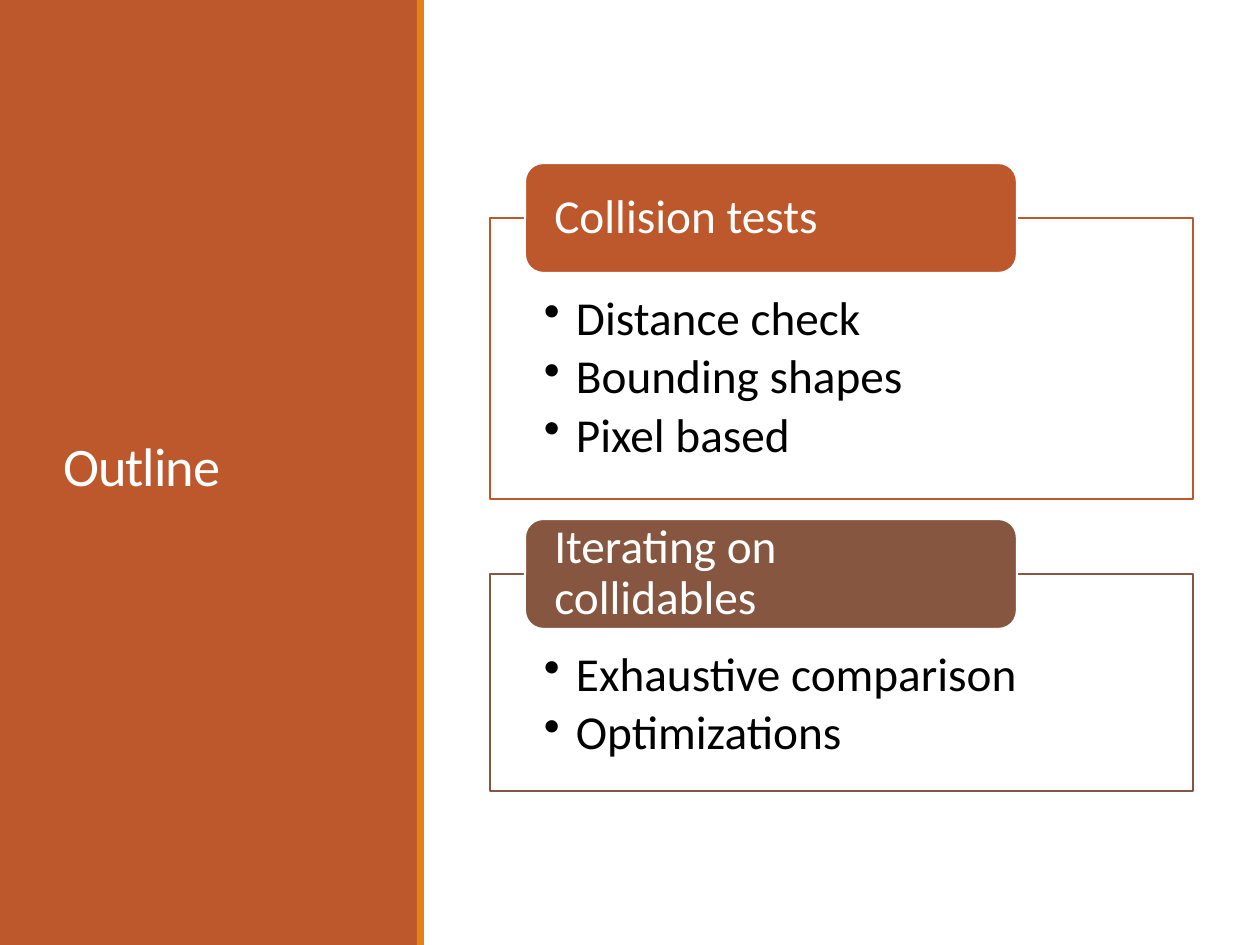
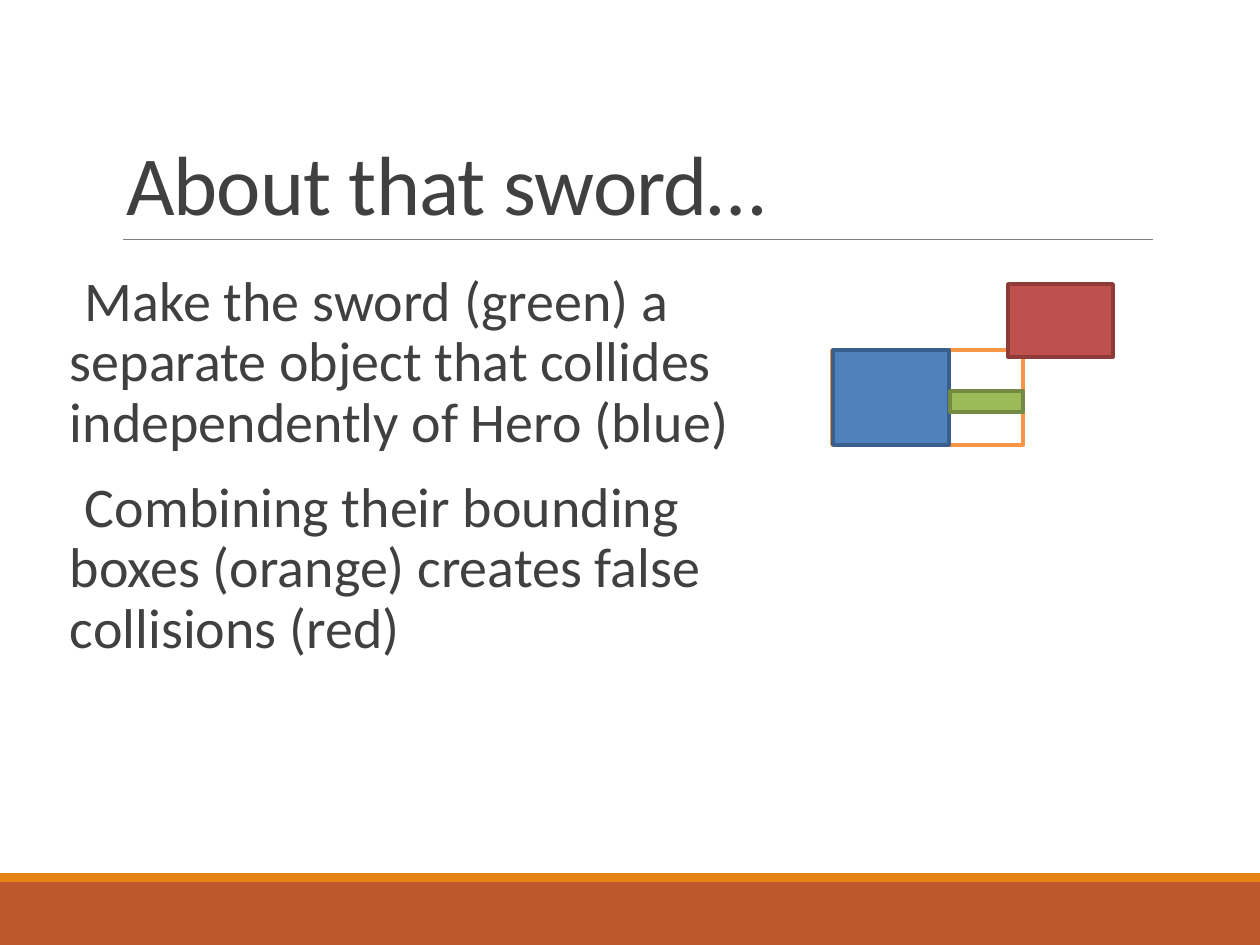
from lxml.etree import SubElement
from pptx import Presentation
from pptx.dml.color import RGBColor
from pptx.enum.shapes import MSO_CONNECTOR as CONNECTOR, MSO_SHAPE as SHAPE
from pptx.enum.text import MSO_ANCHOR as ANCHOR, PP_ALIGN as ALIGN
from pptx.oxml.ns import qn
from pptx.util import Pt

PX = 914400 / 126
WIDTH, HEIGHT = 1260, 945
FONT = "Calibri"
RUST = RGBColor(0xBD, 0x58, 0x2C)
AMBER = RGBColor(0xE4, 0x83, 0x12)
BROWN = RGBColor(0x86, 0x56, 0x40)
WHITE = RGBColor(0xFF, 0xFF, 0xFF)
BLACK = RGBColor(0, 0, 0)
DARK = RGBColor(0x40, 0x40, 0x40)
GRAY = RGBColor(0x80, 0x80, 0x80)
ORANGE, ORANGE_LINE = WHITE, RGBColor(0xF7, 0x96, 0x46)
RED, RED_LINE = RGBColor(0xC0, 0x50, 0x4D), RGBColor(0x8E, 0x3B, 0x39)
BLUE, BLUE_LINE = RGBColor(0x4F, 0x81, 0xBD), RGBColor(0x3A, 0x5F, 0x8C)
GREEN, GREEN_LINE = RGBColor(0x9B, 0xBB, 0x59), RGBColor(0x73, 0x8A, 0x42)


def px(*lengths):
    """Turn pixel lengths into a list of EMU."""
    return [round(length * PX) for length in lengths]


def add_box(slide, box, fill, line=None, weight=1.25, kind=SHAPE.RECTANGLE):
    """Add a flat shape with an optional outline."""
    shape = slide.shapes.add_shape(kind, *px(*box))
    shape.shadow.inherit = False
    shape.fill.solid()
    shape.fill.fore_color.rgb = fill
    if line is None:
        shape.line.fill.background()
    else:
        shape.line.color.rgb = line
        shape.line.width = Pt(weight)
    return shape


def write(shape, lines, size, color, insets=(13, 6, 13, 6), anchor=ANCHOR.TOP, spacing=0.9):
    """Fill a shape with left-aligned paragraphs and return them."""
    frame = shape.text_frame
    frame.word_wrap = True
    frame.vertical_anchor = anchor
    (frame.margin_left, frame.margin_top,
     frame.margin_right, frame.margin_bottom) = px(*insets)
    frame.text = "\n".join(lines)
    for paragraph in frame.paragraphs:
        paragraph.alignment = ALIGN.LEFT
        paragraph.line_spacing = spacing
        paragraph.font.name = FONT
        paragraph.font.size = Pt(size)
        paragraph.font.color.rgb = color
    return frame.paragraphs


def add_bullet(paragraph, character, indent, before, after):
    """Give a paragraph a hanging bullet and its spacing."""
    paragraph.space_before, paragraph.space_after = Pt(before), Pt(after)
    properties = paragraph._p.get_or_add_pPr()
    hang = px(indent)[0]
    properties.set("marL", str(hang))
    properties.set("indent", str(-hang))
    bullet = SubElement(properties, qn("a:buChar"))
    bullet.set("char", character)
    default_font = properties.find(qn("a:defRPr"))
    if default_font is not None:
        default_font.addprevious(bullet)


def add_title(slide, box, text, size, color, anchor):
    """Add a slide title with slightly tightened letters."""
    title = slide.shapes.add_textbox(*px(*box))
    paragraph, = write(title, [text], size, color, anchor=anchor, spacing=0.85)
    paragraph.runs[0]._r.get_or_add_rPr().set("spc", "-50")


def add_sidebar(slide, box, title):
    """Draw the coloured side panel with its title and accent edge."""
    left, top, width, height = box
    add_box(slide, box, RUST)
    add_title(slide, (left + 50, top + 72, 319, 795), title, 31, WHITE, ANCHOR.MIDDLE)
    add_box(slide, (left + width - 1, top, 7, height), AMBER)


def add_topic(slide, box, color, heading, items):
    """Draw an outlined list with a heading tab over its top edge."""
    left, top, width, height = box
    panel = add_box(slide, box, WHITE, color)
    for paragraph in write(panel, items, 27, BLACK, (54, 77, 54, 26)):
        add_bullet(paragraph, "•", 32, 0, 4)
    tab = add_box(slide, (left + 35, top - 55, 492, 110), color, WHITE,
                  kind=SHAPE.ROUNDED_RECTANGLE)
    write(tab, [heading], 27, WHITE, (24, 0, 24, 0), ANCHOR.MIDDLE)


def add_footer(slide, box):
    """Draw the two-tone band along the bottom."""
    left, top, width, height = box
    add_box(slide, (left, top + 9, width, height - 9), RUST)
    add_box(slide, (left, top, width, 9), AMBER)


def add_header(slide, box, title):
    """Draw the title above its thin rule."""
    left, top, width, height = box
    bottom = top + height
    rule = slide.shapes.add_connector(
        CONNECTOR.STRAIGHT, *px(left + 10, bottom, left + width, bottom))
    rule.line.color.rgb = GRAY
    rule.line.width = Pt(0.5)
    SubElement(rule._element.spPr, qn("a:effectLst"))
    add_title(slide, box, title, 48, DARK, ANCHOR.BOTTOM)


def add_body(slide, box, lines):
    """Write the main text of a slide."""
    body = slide.shapes.add_textbox(*px(*box))
    for paragraph in write(body, lines, 32, DARK, (0, 6, 0, 6)):
        add_bullet(paragraph, " ", 13, 12, 2)


def add_collision_diagram(slide, box):
    """Draw hero, sword, combined bounds and the falsely hit enemy."""
    left, top, width, height = box
    hero_width, hero_height, sword_width = 116, 95, 73
    hero_top = top + height - hero_height
    bounds_width = hero_width + sword_width + 2
    bounds = (left, hero_top, bounds_width, hero_height)
    enemy = (left + width - 105, top, 105, 73)
    hero = (left + 1, hero_top, hero_width, hero_height)
    sword = (left + bounds_width - sword_width, hero_top + 41, sword_width, 21)
    for part, fill, line in (
        (bounds, ORANGE, ORANGE_LINE),
        (enemy, RED, RED_LINE),
        (hero, BLUE, BLUE_LINE),
        (sword, GREEN, GREEN_LINE),
    ):
        add_box(slide, part, fill, line, 2)


def build_outline(slide):
    """Build the outline slide."""
    add_sidebar(slide, (0, 0, 418, HEIGHT), "Outline")
    top = 218
    for color, heading, items in (
        (RUST, "Collision tests", ["Distance check", "Bounding shapes", "Pixel based"]),
        (BROWN, "Iterating on collidables", ["Exhaustive comparison", "Optimizations"]),
    ):
        height = 89 + 64 * len(items)
        add_topic(slide, (490, top, 703, height), color, heading, items)
        top += height + 75


def build_sword(slide):
    """Build the slide on separating the sword from its owner."""
    add_footer(slide, (0, 873, WIDTH, 72))
    add_header(slide, (113, 39, 1040, 200), "About that sword…")
    add_body(slide, (57, 267, 716, 533), [
        "Make the sword (green) a separate object that collides independently of Hero (blue)",
        "Combining their bounding boxes (orange) creates false collisions (red)",
    ])
    add_collision_diagram(slide, (832, 284, 281, 161))


def main():
    """Build and save the presentation."""
    presentation = Presentation()
    presentation.slide_width, presentation.slide_height = px(WIDTH, HEIGHT)
    for build in (build_outline, build_sword):
        build(presentation.slides.add_slide(presentation.slide_layouts[6]))
    presentation.save("out.pptx")


if __name__ == "__main__":
    main()
